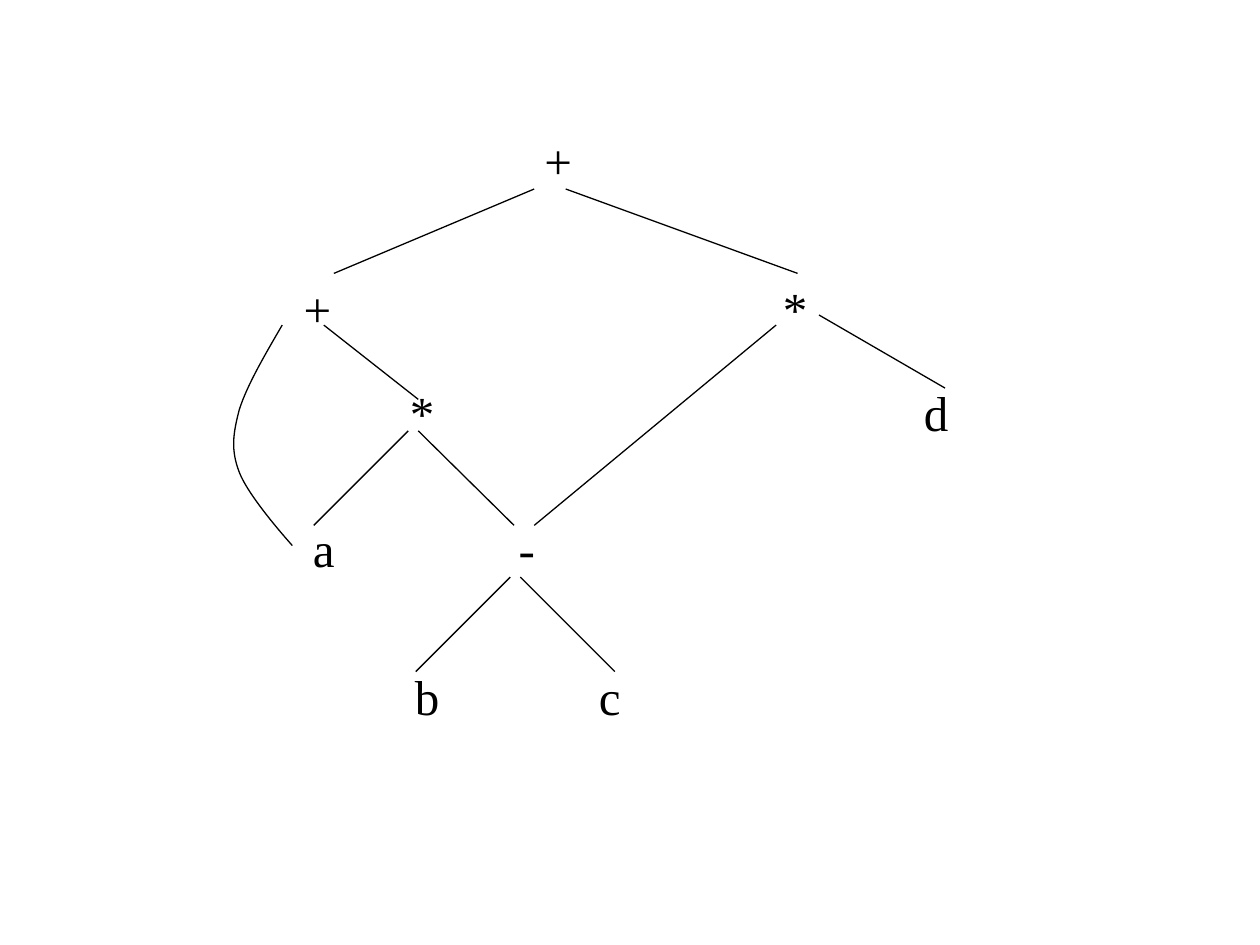
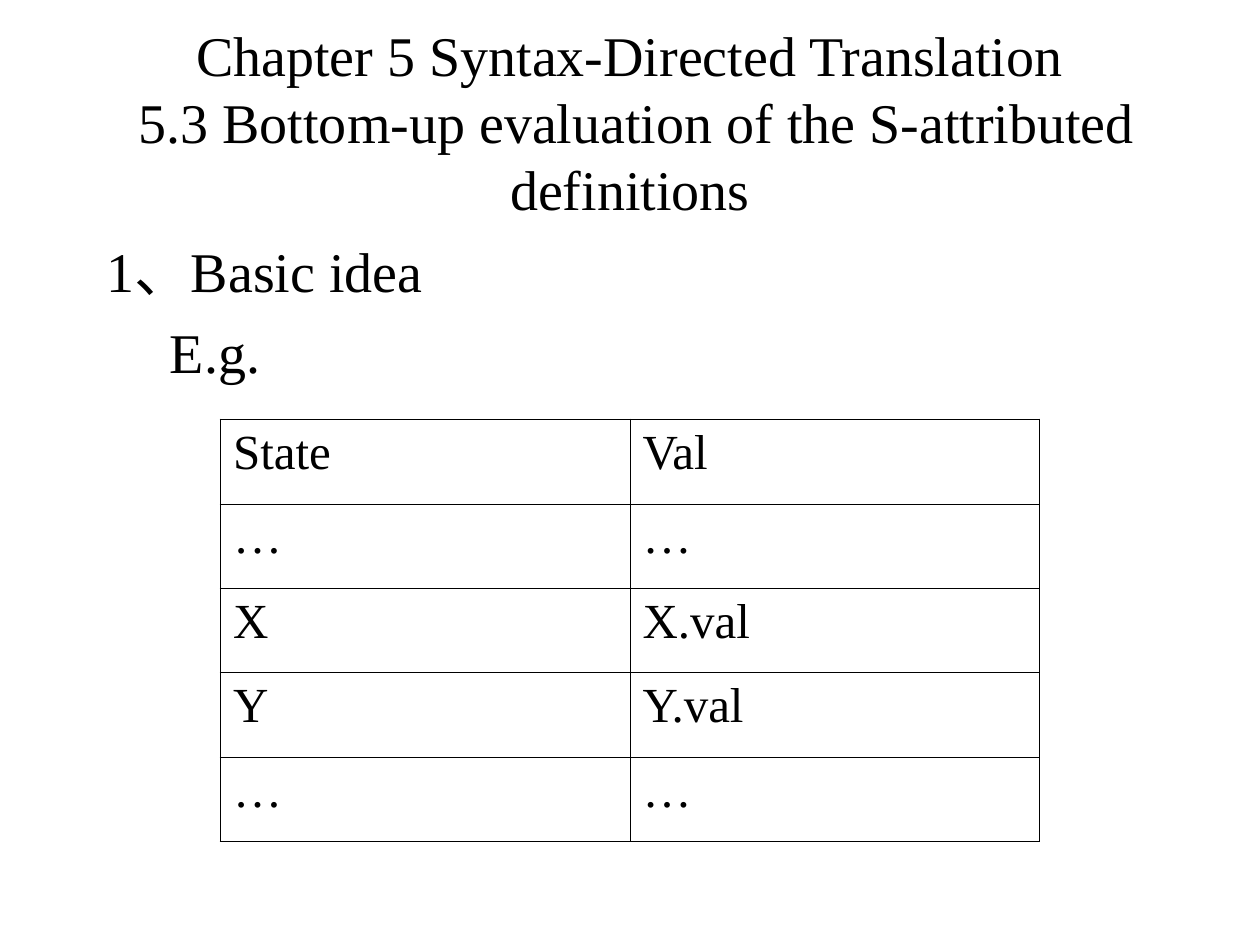
from lxml import etree
from pptx import Presentation
from pptx.dml.color import RGBColor
from pptx.enum import shapes, text
from pptx.oxml import ns
from pptx.util import Inches, Pt

COLORS = {"ink": "000000", "page": "FFFFFF"}
FONT = "Times New Roman"
INK = RGBColor.from_string(COLORS["ink"])


def style(para, size, align=text.PP_ALIGN.LEFT, before=0):
    """Give a paragraph the shared font, its size and its layout."""
    para.font.name = FONT
    para.font.size = Pt(size)
    para.font.color.rgb = INK
    para.alignment = align
    para.space_before = Pt(before)


def draw(line):
    """Give a line shape the thin ink stroke without a shadow."""
    line.line.color.rgb = INK
    line.line.width = Pt(0.75)
    props = line._element.spPr
    if props.find(ns.qn("a:effectLst")) is None:
        etree.SubElement(props, ns.qn("a:effectLst"))


deck = Presentation()
deck.slide_width, deck.slide_height = Inches(10), Inches(7.5)
tree, stack = [deck.slides.add_slide(deck.slide_layouts[6]) for _ in range(2)]
for page in (tree, stack):
    page.background.fill.solid()
    page.background.fill.fore_color.rgb = RGBColor.from_string(COLORS["page"])

# Slide 1: nodes of the expression graph (sign, centre x, top)
NODES = [
    ("+", 4.43, 0.99),
    ("+", 2.52, 2.16), ("*", 6.31, 2.16),
    ("*", 3.35, 2.99), ("d", 7.43, 2.99),
    ("a", 2.57, 4.07), ("-", 4.18, 4.07),
    ("b", 3.39, 5.24), ("c", 4.84, 5.24),
]
WIDE = 0.42
for sign, mid, top in NODES:
    box = tree.shapes.add_textbox(Inches(mid - WIDE / 2), Inches(top), Inches(WIDE), Inches(0.57))
    box.text_frame.text = sign
    style(box.text_frame.paragraphs[0], 28, text.PP_ALIGN.CENTER)

# Straight edges
EDGES = [
    (4.24, 1.5, 2.65, 2.17), (4.49, 1.5, 6.33, 2.17),
    (2.57, 2.58, 3.32, 3.17), (6.5, 2.5, 7.5, 3.08),
    (3.24, 3.42, 2.49, 4.17), (3.32, 3.42, 4.08, 4.17),
    (6.16, 2.58, 4.24, 4.17),
    (4.05, 4.58, 3.3, 5.33), (4.13, 4.58, 4.88, 5.33),
]
for edge in EDGES:
    draw(tree.shapes.add_connector(shapes.MSO_CONNECTOR.STRAIGHT, *map(Inches, edge)))

# Curved edge: each three points after the start make one Bezier segment
CURVE = [
    (2.24, 2.58),
    (2.1, 2.82), (1.96, 3.06), (1.9, 3.25),
    (1.85, 3.44), (1.83, 3.57), (1.9, 3.75),
    (1.97, 3.93), (2.24, 4.24), (2.32, 4.33),
]
points = [(Inches(x), Inches(y)) for x, y in CURVE]
pen = tree.shapes.build_freeform(*points[0])
pen.add_line_segments(points[1:], close=False)
curve = pen.convert_to_shape()
steps = list(curve._element.iter(ns.qn("a:lnTo")))
for i in range(0, len(steps), 3):
    bend = etree.Element(ns.qn("a:cubicBezTo"))
    steps[i].addprevious(bend)
    for step in steps[i:i + 3]:
        bend.append(step[0])
        step.getparent().remove(step)
curve.fill.background()
curve.shadow.inherit = False
draw(curve)

# Slide 2: title
title = stack.shapes.add_textbox(Inches(0.75), Inches(0.17), Inches(8.5), Inches(1.58)).text_frame
title.word_wrap = True
title.vertical_anchor = text.MSO_ANCHOR.MIDDLE
title.text = ("Chapter 5 Syntax-Directed Translation\v"
              " 5.3 Bottom-up evaluation of the S-attributed definitions")
style(title.paragraphs[0], 32, text.PP_ALIGN.CENTER)

# Body with hanging indents
body = stack.shapes.add_textbox(Inches(0.75), Inches(1.83), Inches(8.5), Inches(5)).text_frame
body.word_wrap = True
body.text = "1、Basic idea\nE.g."
for para, left, hang in zip(body.paragraphs, (0.38, 0.81), (0.38, 0.31)):
    style(para, 32, before=8)
    props = para._p.get_or_add_pPr()
    props.set("marL", str(Inches(left)))
    props.set("indent", str(-Inches(hang)))

# Parser stack table
ROWS = [("State", "Val"), ("…", "…"), ("X", "X.val"), ("Y", "Y.val"), ("…", "…")]
HIGH = 0.67
grid = stack.shapes.add_table(len(ROWS), 2, Inches(1.75), Inches(3.33),
                              Inches(6.5), Inches(HIGH * len(ROWS))).table
grid.first_row = grid.horz_banding = False
for r, row in enumerate(ROWS):
    grid.rows[r].height = Inches(HIGH)
    for c, word in enumerate(row):
        cell = grid.cell(r, c)
        cell.text = word
        style(cell.text_frame.paragraphs[0], 28, before=7)
        props = cell._tc.get_or_add_tcPr()
        outer = {"L": c == 0, "R": c == 1, "T": r == 0, "B": r == len(ROWS) - 1}
        for side, rim in outer.items():
            line = etree.SubElement(props, ns.qn("a:ln" + side), w=str(Pt(1.08 if rim else 0.45)))
            fill = etree.SubElement(line, ns.qn("a:solidFill"))
            etree.SubElement(fill, ns.qn("a:srgbClr"), val=COLORS["ink"])
        cell.fill.background()

deck.save("out.pptx")
